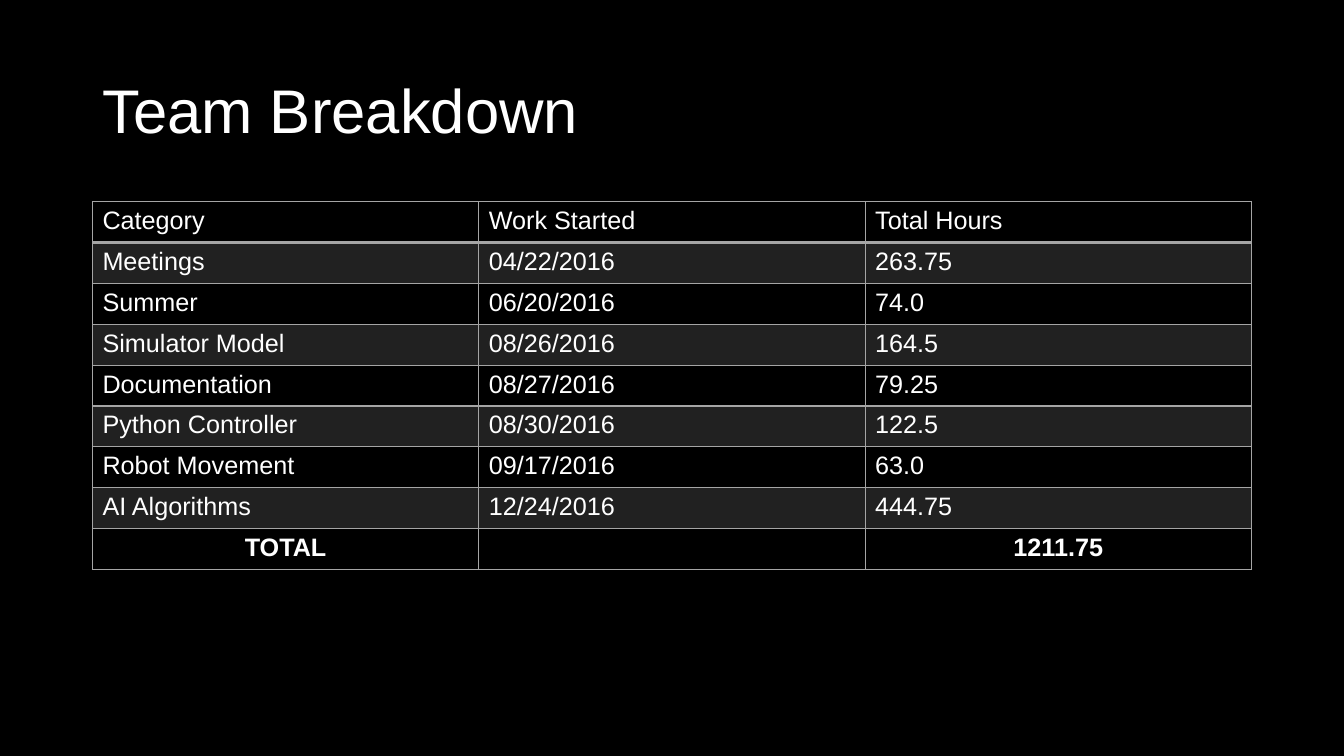
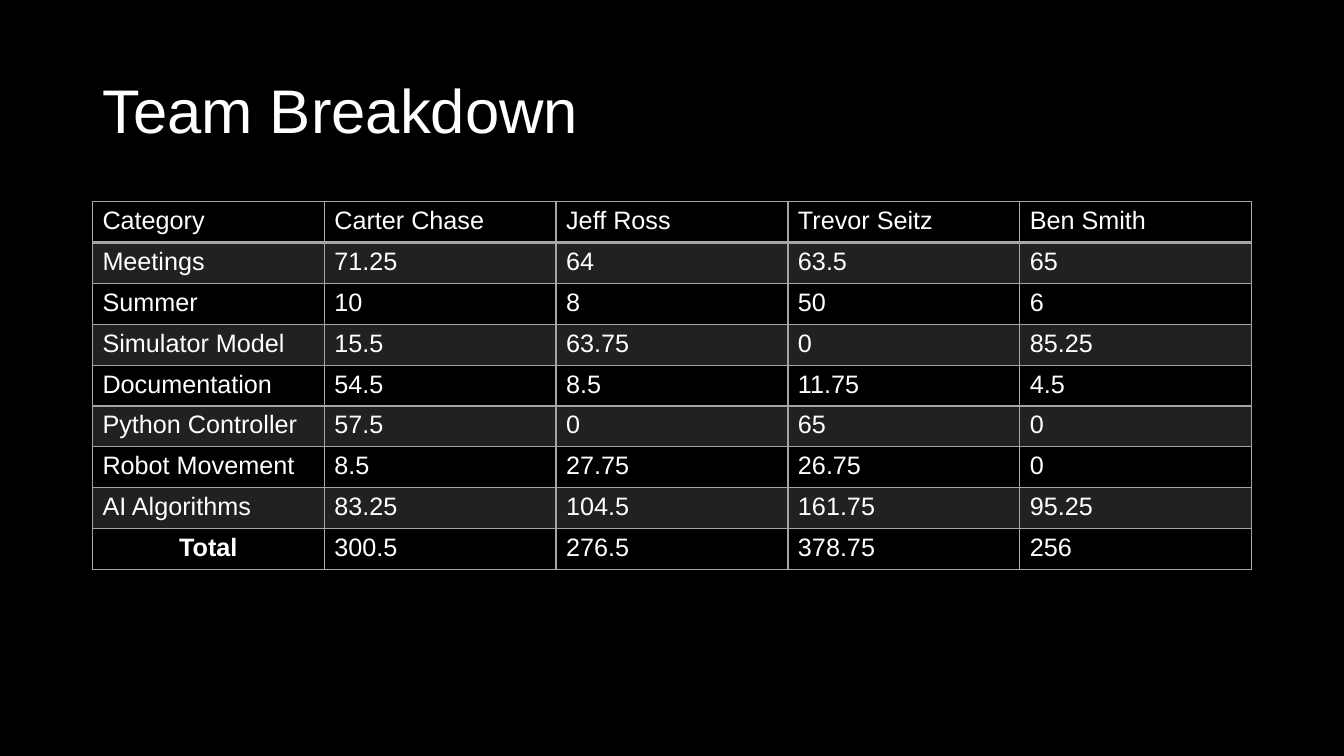
from lxml import etree
from pptx import Presentation
from pptx.dml.color import RGBColor
from pptx.enum.text import MSO_ANCHOR, PP_ALIGN
from pptx.oxml.ns import qn
from pptx.util import Cm, Pt

CENTER = PP_ALIGN.CENTER
MIDDLE = MSO_ANCHOR.MIDDLE

# Content
TITLE = "Team Breakdown"
CATEGORIES = [
    "Meetings", "Summer", "Simulator Model", "Documentation",
    "Python Controller", "Robot Movement", "AI Algorithms",
]
BREAKDOWNS = [
    {
        "header": ["Category", "Work Started", "Total Hours"],
        "values": [
            ("04/22/2016", "263.75"),
            ("06/20/2016", "74.0"),
            ("08/26/2016", "164.5"),
            ("08/27/2016", "79.25"),
            ("08/30/2016", "122.5"),
            ("09/17/2016", "63.0"),
            ("12/24/2016", "444.75"),
        ],
        "total": ["TOTAL", "", "1211.75"],
        "emphasised": {0, 2},
    },
    {
        "header": ["Category", "Carter Chase", "Jeff Ross", "Trevor Seitz", "Ben Smith"],
        "values": [
            ("71.25", "64", "63.5", "65"),
            ("10", "8", "50", "6"),
            ("15.5", "63.75", "0", "85.25"),
            ("54.5", "8.5", "11.75", "4.5"),
            ("57.5", "0", "65", "0"),
            ("8.5", "27.75", "26.75", "0"),
            ("83.25", "104.5", "161.75", "95.25"),
        ],
        "total": ["Total", "300.5", "276.5", "378.75", "256"],
        "emphasised": {0},
    },
]

# Shared style
BLACK = RGBColor(0x00, 0x00, 0x00)
WHITE = RGBColor(0xFF, 0xFF, 0xFF)
GREY = RGBColor(0xA5, 0xA5, 0xA5)
FONT = "Arial"
BAND_OPACITY = 20
LEFT, WIDTH = Cm(2.33), Cm(29.21)
TITLE_TOP, TITLE_HEIGHT = Cm(1.01), Cm(3.68)
TABLE_TOP, ROW_HEIGHT = Cm(5.08), Cm(1.03)
THIN, THICK = Pt(1), Pt(2)


def style_text(paragraph, size, bold=False):
    for run in paragraph.runs:
        run.font.name = FONT
        run.font.size = Pt(size)
        run.font.bold = bold
        run.font.color.rgb = WHITE


def add_title(slide):
    title = slide.shapes.add_textbox(LEFT, TITLE_TOP, WIDTH, TITLE_HEIGHT)
    frame = title.text_frame
    frame.word_wrap = True
    frame.vertical_anchor = MIDDLE
    frame.text = TITLE
    frame.paragraphs[0].line_spacing = 0.9
    style_text(frame.paragraphs[0], 44)


def set_borders(cell, top, bottom):
    properties = cell._tc.get_or_add_tcPr()
    for side, width in (("L", THIN), ("R", THIN), ("T", top), ("B", bottom)):
        line = etree.SubElement(properties, qn(f"a:ln{side}"), w=str(width))
        fill = etree.SubElement(line, qn("a:solidFill"))
        etree.SubElement(fill, qn("a:srgbClr"), val=str(GREY))


def fill_cell(cell, banded):
    if not banded:
        cell.fill.background()
        return
    cell.fill.solid()
    cell.fill.fore_color.rgb = GREY
    colour = cell._tc.tcPr.find(qn("a:solidFill")).find(qn("a:srgbClr"))
    etree.SubElement(colour, qn("a:alpha"), val=str(BAND_OPACITY * 1000))


def add_breakdown(slide, breakdown):
    body = [[name, *values] for name, values in zip(CATEGORIES, breakdown["values"])]
    rows = [breakdown["header"], *body, breakdown["total"]]
    last = len(rows) - 1
    columns = len(rows[0])
    table = slide.shapes.add_table(
        len(rows), columns, LEFT, TABLE_TOP, WIDTH, ROW_HEIGHT * len(rows)
    ).table
    table.first_row = False
    table.horz_banding = False
    for column in table.columns:
        column.width = WIDTH // columns

    for r, row in enumerate(rows):
        table.rows[r].height = ROW_HEIGHT
        for c, text in enumerate(row):
            cell = table.cell(r, c)
            cell.text_frame.text = text
            paragraph = cell.text_frame.paragraphs[0]
            emphasised = r == last and c in breakdown["emphasised"]
            if emphasised:
                paragraph.alignment = CENTER
            style_text(paragraph, 18, emphasised)
            # The header is set off by a thicker rule
            set_borders(cell, THICK if r == 1 else THIN, THICK if r == 0 else THIN)
            fill_cell(cell, banded=r % 2 == 1)


def main():
    deck = Presentation()
    deck.slide_width, deck.slide_height = Cm(33.87), Cm(19.05)
    blank = deck.slide_layouts[6]
    for breakdown in BREAKDOWNS:
        slide = deck.slides.add_slide(blank)
        slide.background.fill.solid()
        slide.background.fill.fore_color.rgb = BLACK
        add_title(slide)
        add_breakdown(slide, breakdown)
    deck.save("out.pptx")


if __name__ == "__main__":
    main()
